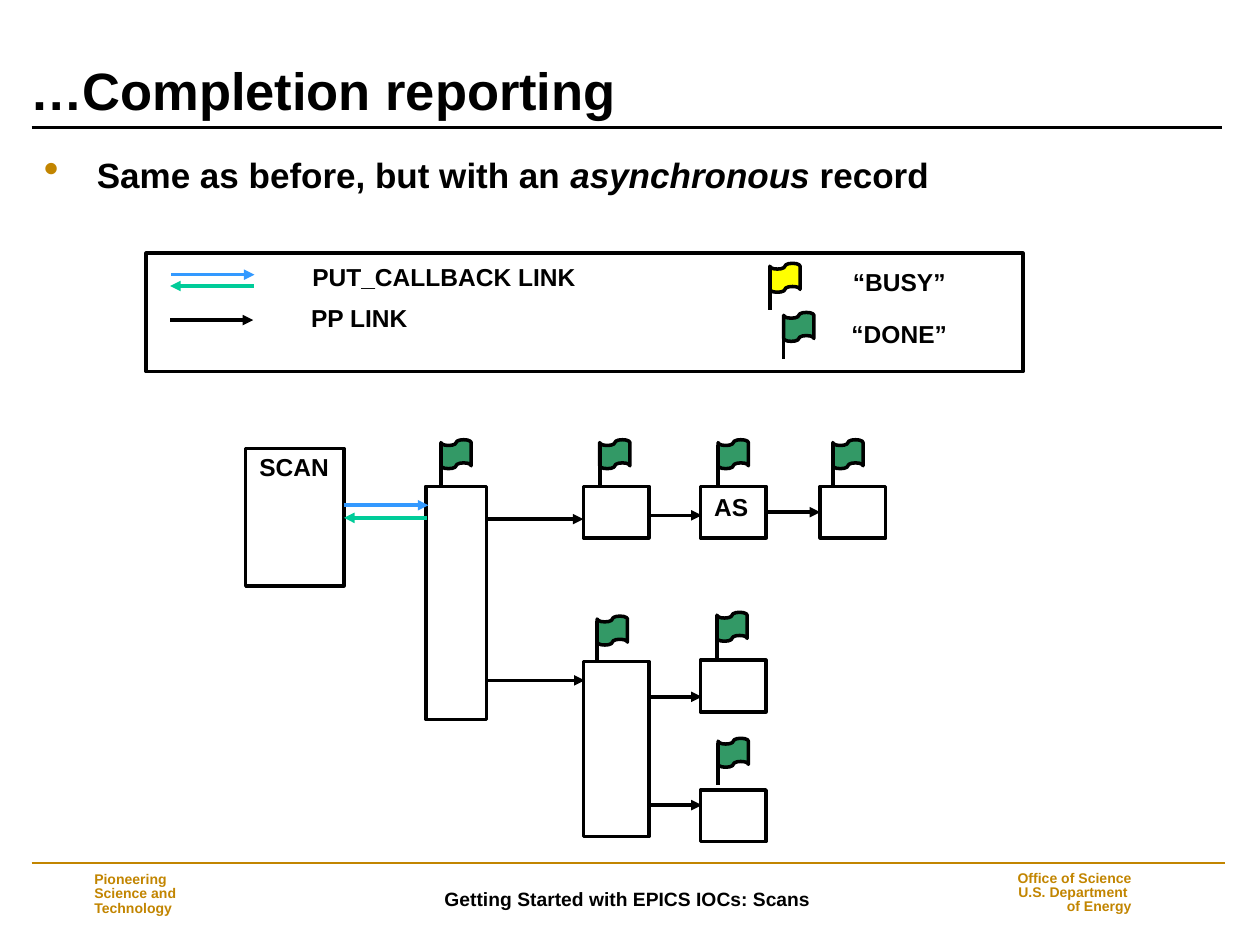
from collections import namedtuple
from dataclasses import dataclass

from lxml import etree
from pptx import Presentation
from pptx.dml.color import RGBColor
from pptx.enum.shapes import MSO_CONNECTOR, MSO_SHAPE
from pptx.enum.text import MSO_ANCHOR, PP_ALIGN
from pptx.oxml.ns import qn
from pptx.util import Pt

PX = 9144
STRAIGHT = MSO_CONNECTOR.STRAIGHT
RECT, FLAG = MSO_SHAPE.RECTANGLE, MSO_SHAPE.FLOWCHART_PUNCHED_TAPE
TOP, MIDDLE, BOTTOM = MSO_ANCHOR.TOP, MSO_ANCHOR.MIDDLE, MSO_ANCHOR.BOTTOM
LEFT, CENTER, RIGHT = PP_ALIGN.LEFT, PP_ALIGN.CENTER, PP_ALIGN.RIGHT
LEFT_SIDE, RIGHT_SIDE = 1, 3

Box = namedtuple("Box", "left top width height")


@dataclass(frozen=True)
class Theme:
    font: str = "Arial"
    ink: str = "000000"
    paper: str = "FFFFFF"
    gold: str = "C28500"
    blue: str = "3399FF"
    teal: str = "00CC99"
    busy: str = "FFFF00"
    done: str = "339966"
    title: int = 30
    body: int = 20
    label: int = 14
    footer: int = 11
    small: int = 8
    stroke: float = 2


THEME = Theme()


def px(*lengths):
    return [length * PX for length in lengths]


def within(region, left, top, width, height):
    return Box(region.left + left, region.top + top, width, height)


def add_text(page, box, lines, size, color=THEME.ink, anchor=TOP, align=LEFT,
             spacing=1.0, inset_top=5):
    frame = page.shapes.add_textbox(*px(*box)).text_frame
    frame_format = {"word_wrap": True, "vertical_anchor": anchor,
                    "margin_left": 10 * PX, "margin_right": 10 * PX,
                    "margin_top": inset_top * PX, "margin_bottom": 5 * PX}
    for name, value in frame_format.items():
        setattr(frame, name, value)
    for index, spans in enumerate(lines):
        para = frame.add_paragraph() if index else frame.paragraphs[0]
        para.alignment, para.line_spacing = align, spacing
        for text, italic in spans:
            if text == "\n":
                para.add_line_break()
                continue
            span = para.add_run()
            span.text = text
            font_format = {"name": THEME.font, "size": Pt(size), "bold": True, "italic": italic}
            for name, value in font_format.items():
                setattr(span.font, name, value)
            span.font.color.rgb = RGBColor.from_string(color)
    return frame


def add_label(page, box, text):
    add_text(page, box, [[(text, False)]], THEME.label)


def add_bullet(para, symbol, color, percent, indent):
    props = para._p.get_or_add_pPr()
    props.set("marL", str(indent * PX))
    props.set("indent", str(-indent * PX))
    bullet_color = etree.SubElement(props, qn("a:buClr"))
    etree.SubElement(bullet_color, qn("a:srgbClr")).set("val", color)
    etree.SubElement(props, qn("a:buSzPct")).set("val", str(percent * 1000))
    etree.SubElement(props, qn("a:buChar")).set("char", symbol)


def add_block(parent, box, kind=RECT, fill=None):
    block = parent.shapes.add_shape(kind, *px(*box))
    block.shadow.inherit = False
    if fill:
        block.fill.solid()
        block.fill.fore_color.rgb = RGBColor.from_string(fill)
    else:
        block.fill.background()
    block.line.color.rgb = RGBColor.from_string(THEME.ink)
    block.line.width = Pt(THEME.stroke)
    return block


def add_line(parent, start, end, color=THEME.ink, width=THEME.stroke, arrow=None):
    line = parent.shapes.add_connector(STRAIGHT, *px(*start, *end))
    line.line.color.rgb = RGBColor.from_string(color)
    line.line.width = Pt(width)
    if arrow:
        etree.SubElement(line.line._get_or_add_ln(), qn(arrow)).set("type", "triangle")
    etree.SubElement(line._element.spPr, qn("a:effectLst"))
    return line


def add_arrow(page, region, left, top, length, color=THEME.ink, arrow="a:tailEnd"):
    left, top = region.left + left, region.top + top
    return add_line(page, (left, top), (left + length, top), color, arrow=arrow)


def add_flag(page, region, left, top, fill=THEME.done):
    box = within(region, left, top, 24, 23)
    flag = page.shapes.add_group_shape()
    add_block(flag, box, FLAG, fill)
    add_line(flag, (box.left, box.top + 4), (box.left, box.top + 37))


def add_header(page, region):
    add_text(page, within(region, 0, 0, 958, 50), [[("…Completion reporting", False)]],
             THEME.title, anchor=BOTTOM, spacing=0.9, inset_top=0)
    rule = region.top + region.height
    add_line(page, (region.left + 11, rule), (region.left + 956, rule), width=1.5)


def add_body(page, region):
    spans = [("Same as before, but with an ", False), ("asynchronous", True), (" record", False)]
    frame = add_text(page, region, [spans], THEME.body)
    add_bullet(frame.paragraphs[0], "•", THEME.gold, 125, 42)


def add_legend(page, region):
    add_block(page, region)
    add_arrow(page, region, 20, 17, 66, THEME.blue)
    add_arrow(page, region, 19, 26, 67, THEME.teal, "a:headEnd")
    add_arrow(page, region, 19, 53, 66)
    add_label(page, within(region, 122, 2, 262, 34), "PUT_CALLBACK LINK")
    add_label(page, within(region, 121, 35, 185, 34), "PP LINK")
    add_flag(page, region, 495, 8, THEME.busy)
    add_flag(page, region, 506, 47)
    add_label(page, within(region, 551, 6, 105, 34), "“BUSY”")
    add_label(page, within(region, 550, 47, 103, 34), "“DONE”")


def add_chain(page, region):
    add_block(page, within(region, 0, 7, 78, 109))
    add_label(page, within(region, 1, 5, 80, 34), "SCAN")
    add_block(page, within(region, 143, 37, 48, 185))
    add_block(page, within(region, 268, 37, 52, 41), fill=THEME.paper)
    add_block(page, within(region, 268, 176, 52, 139))
    async_record, last_record = [
        add_block(page, within(region, left, 37, 52, 41)) for left in (361, 456)]
    for top in (175, 278):
        add_block(page, within(region, 361, top, 52, 41))
    add_label(page, within(region, 362, 37, 51, 34), "AS")

    add_arrow(page, region, 78, 52, 67, THEME.blue)
    add_arrow(page, region, 78, 62, 66, THEME.teal, "a:headEnd")
    for left, top, length in ((192, 63, 76), (191, 191, 78), (320, 60, 42),
                              (320, 204, 42), (320, 290, 42)):
        add_arrow(page, region, left, top, length)
    link = add_arrow(page, region, 413, 58, 43)
    link.begin_connect(async_record, RIGHT_SIDE)
    link.end_connect(last_record, LEFT_SIDE)

    for left, top in ((155, 0), (281, 0), (375, 0), (466, 0),
                      (279, 140), (374, 137), (375, 237)):
        add_flag(page, region, left, top)


def add_footer(page, region):
    add_line(page, (region.left, region.top), (region.left + region.width, region.top),
             THEME.gold, 1)
    motto = [("Pioneering", False), ("\n", False), ("Science and", False),
             ("\n", False), ("Technology", False)]
    add_text(page, within(region, 40, 3, 146, 44), [motto], THEME.small, THEME.gold,
             MIDDLE, spacing=0.85)
    add_text(page, within(region, 177, 4, 592, 48),
             [[("Getting Started with EPICS IOCs: Scans", False)]],
             THEME.footer, anchor=MIDDLE, align=CENTER)
    office = ("Office of Science", "U.S. Department ", "of Energy")
    add_text(page, within(region, 759, 2, 124, 44), [[(line, False)] for line in office],
             THEME.small, THEME.gold, MIDDLE, RIGHT, 0.85)


def main():
    deck = Presentation()
    deck.slide_width, deck.slide_height = px(1000, 750)
    page = deck.slides.add_slide(deck.slide_layouts[6])
    add_header(page, Box(14, 52, 958, 49))
    add_body(page, Box(25, 117, 946, 44))
    add_legend(page, Box(116, 201, 696, 94))
    add_chain(page, Box(195, 349, 508, 319))
    add_footer(page, Box(25, 685, 947, 56))
    deck.save("out.pptx")


if __name__ == "__main__":
    main()
